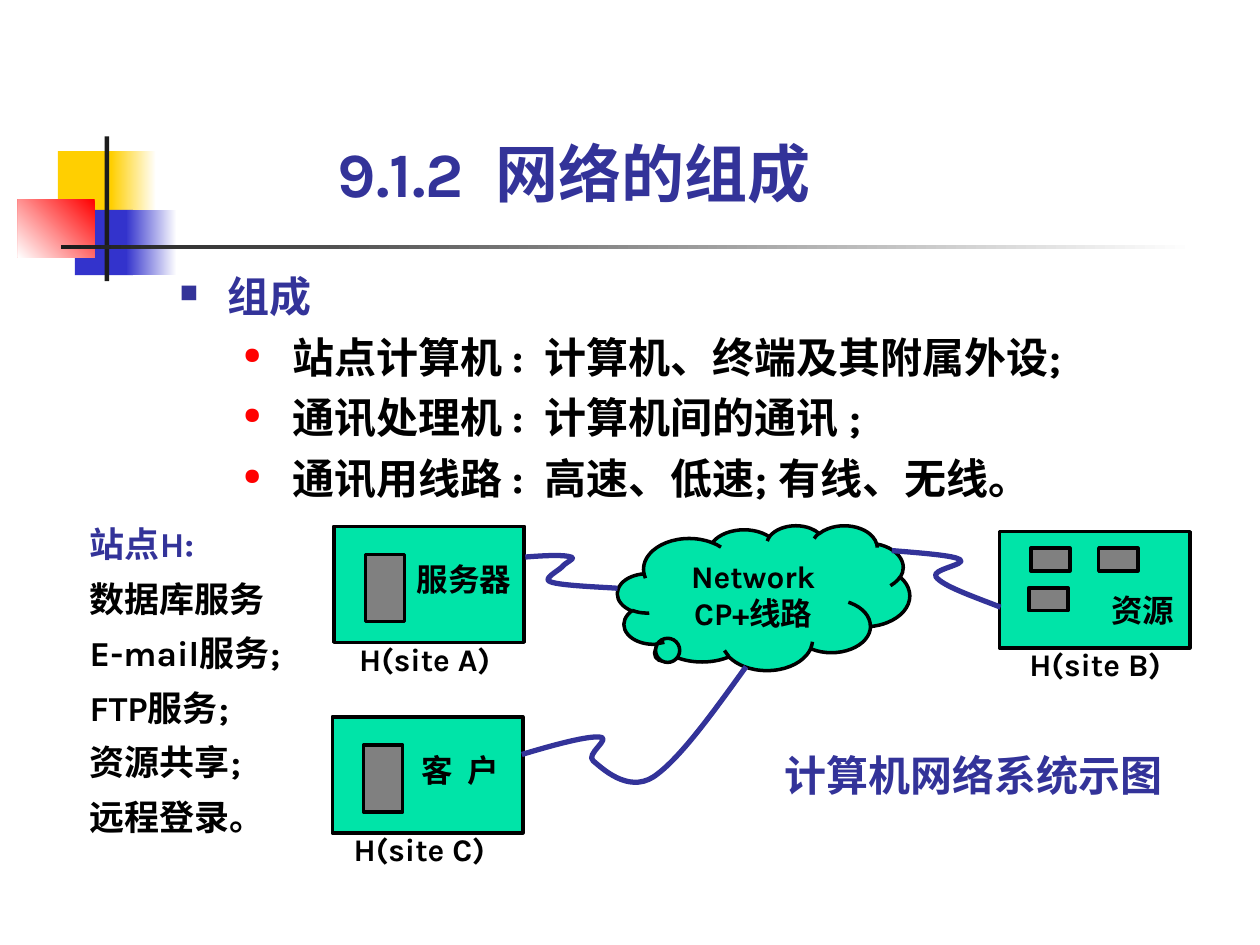
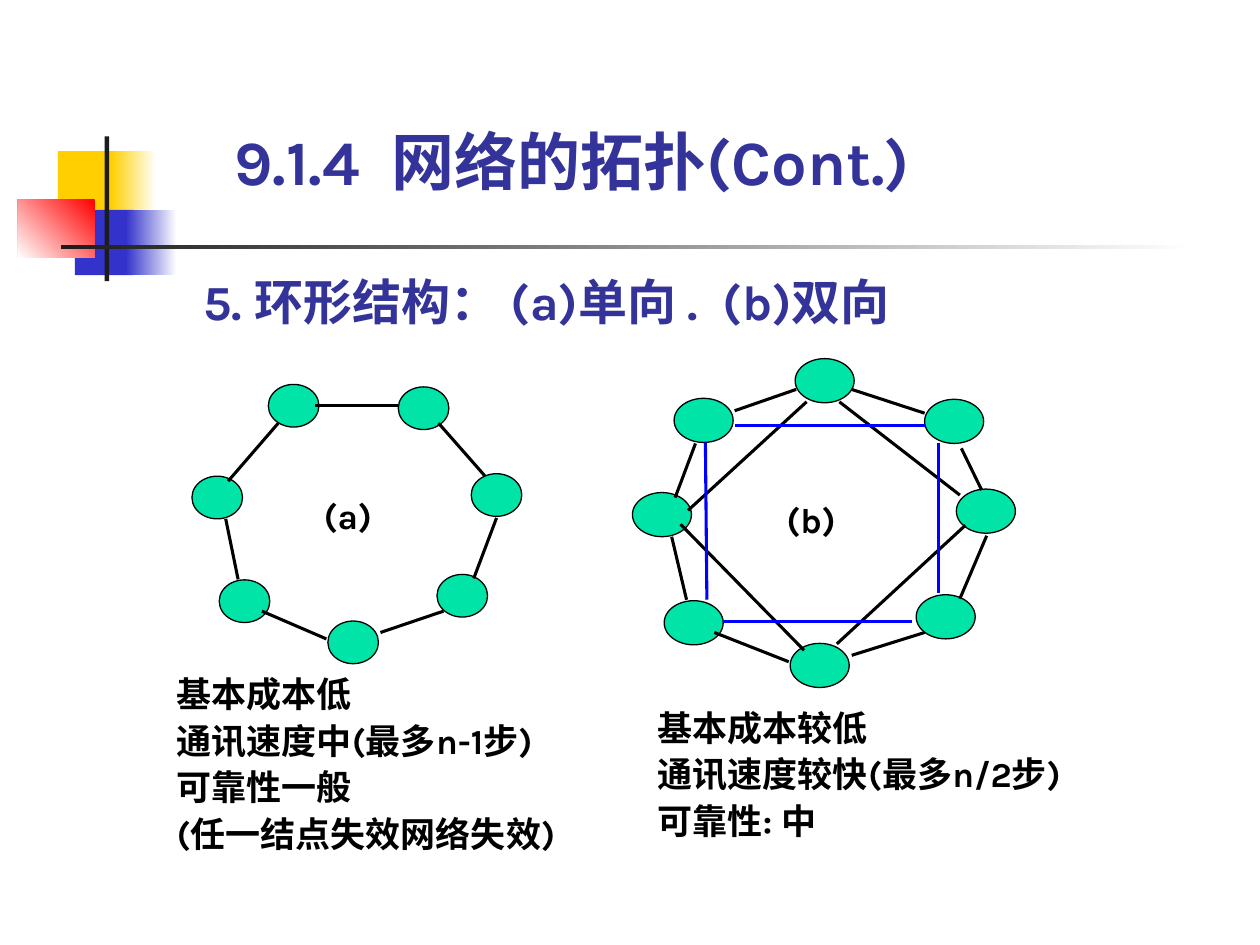
"""Build two slides on network composition and ring topologies."""
from lxml import etree
from pptx import Presentation
from pptx.dml.color import RGBColor
from pptx.enum import shapes, text
from pptx.oxml import ns
from pptx.util import Cm, Pt

FONT = "Karla"
BULLET_FONT = "OpenSymbol"
INDIGO = RGBColor(0x33, 0x33, 0x99)
BLACK = RGBColor(0, 0, 0)
WHITE = RGBColor(0xFF, 0xFF, 0xFF)
GREEN = RGBColor(0x00, 0xE4, 0xA8)
GRAY = RGBColor(0x80, 0x80, 0x80)
RED = RGBColor(0xFF, 0, 0)
BLUE = RGBColor(0, 0, 0xFF)
YELLOW = RGBColor(0xFF, 0xCF, 0x01)
ROYAL = RGBColor(0x33, 0x33, 0xCC)
CHARCOAL = RGBColor(0x1C, 0x1C, 0x1C)

RECT = shapes.MSO_SHAPE.RECTANGLE
OVAL = shapes.MSO_SHAPE.OVAL
CLOUD = shapes.MSO_SHAPE.CLOUD_CALLOUT


def style_runs(p, size, color):
    """Format every run of a paragraph."""
    for r in p.runs:
        r.font.name = FONT
        r.font.size = Pt(size)
        r.font.bold = True
        r.font.color.rgb = color


def clear_frame(tf):
    """Remove the margins of a text frame and let it wrap."""
    tf.margin_left = tf.margin_right = tf.margin_top = tf.margin_bottom = 0
    tf.word_wrap = True
    tf.auto_size = text.MSO_AUTO_SIZE.NONE


def add_text(s, box, lines, size, color=BLACK, spacing=None, before=0, hanging=0):
    """Add a text box with one paragraph per line and return its frame."""
    tf = s.shapes.add_textbox(*map(Cm, box)).text_frame
    clear_frame(tf)
    tf.text = "\n".join(lines)
    for i, p in enumerate(tf.paragraphs):
        p.line_spacing = spacing
        if i and before:
            p.space_before = Pt(before)
        if hanging:
            set_indent(p, hanging, -hanging)
        style_runs(p, size, color)
    return tf


def set_indent(p, margin, indent):
    """Set the left margin and first-line indent of a paragraph."""
    pPr = p._p.get_or_add_pPr()
    pPr.set("marL", str(Cm(margin)))
    pPr.set("indent", str(Cm(indent)))
    return pPr


def set_bullet(p, char, color, percent, margin, indent):
    """Give a paragraph a coloured bullet."""
    pPr = set_indent(p, margin, indent)
    clr = etree.SubElement(pPr, ns.qn("a:buClr"))
    etree.SubElement(clr, ns.qn("a:srgbClr"), val=str(color))
    etree.SubElement(pPr, ns.qn("a:buSzPct"), val=str(percent * 1000))
    etree.SubElement(pPr, ns.qn("a:buFont"), typeface=BULLET_FONT)
    etree.SubElement(pPr, ns.qn("a:buChar"), char=char)


def add_block(s, kind, box, fill=None, line=None):
    """Add a preset shape, outlined in black when a line width is given."""
    sp = s.shapes.add_shape(kind, *map(Cm, box))
    sp.shadow.inherit = False
    if fill is None:
        sp.fill.background()
    else:
        sp.fill.solid()
        sp.fill.fore_color.rgb = fill
    if line:
        sp.line.color.rgb = BLACK
        sp.line.width = Pt(line)
    else:
        sp.line.fill.background()
    return sp


def add_fade(s, box, start, end, angle):
    """Add a rectangle with a two-colour gradient."""
    sp = add_block(s, RECT, box, start)
    sp.fill.gradient()
    sp.fill.gradient_angle = angle
    for stop, color in zip(sp.fill.gradient_stops, (start, end)):
        stop.color.rgb = color
    return sp


def add_link(s, ends, color=BLACK):
    """Add a straight line between two points."""
    c = s.shapes.add_connector(shapes.MSO_CONNECTOR.STRAIGHT, *map(Cm, ends))
    c.line.color.rgb = color
    c.line.width = Pt(1.75)
    etree.SubElement(c.element.spPr, ns.qn("a:effectLst"))


def add_curve(s, start, points):
    """Add an open Bezier line; every three points make one segment."""
    builder = s.shapes.build_freeform(*map(Cm, start))
    builder.add_line_segments([(Cm(x), Cm(y)) for x, y in points], close=False)
    sp = builder.convert_to_shape()
    outline = next(sp.element.iter(ns.qn("a:path")))
    steps = outline.findall(ns.qn("a:lnTo"))
    for i in range(0, len(steps), 3):
        bezier = etree.SubElement(outline, ns.qn("a:cubicBezTo"))
        for step in steps[i:i + 3]:
            bezier.append(step[0])
            outline.remove(step)
    sp.shadow.inherit = False
    sp.fill.background()
    sp.line.color.rgb = INDIGO
    sp.line.width = Pt(3)


def add_site(s, left, top, name, name_dx, devices, device_size, service, service_dx, service_dy):
    """Add a site: a green box with its devices, service and name."""
    add_block(s, RECT, (left, top, 3.84, 2.34), GREEN, 2)
    for dx, dy in devices:
        add_block(s, RECT, (left + dx, top + dy, *device_size), GRAY, 2)
    add_text(s, (left + service_dx, top + service_dy, 2.01, 0.76), [service], 18)
    add_text(s, (left + name_dx, top + 2.29, 3.02, 0.76), [name], 18)


def add_ring(s, nodes, size, links):
    """Add the nodes of a ring and the links between them."""
    for node in nodes:
        add_block(s, OVAL, (*node, *size), GREEN, 0.75)
    for ends in links:
        add_link(s, ends)


def add_ring_label(s, box, label):
    """Add an unfilled oval that names a ring."""
    tf = add_block(s, OVAL, box).text_frame
    clear_frame(tf)
    tf.vertical_anchor = text.MSO_ANCHOR.TOP
    tf.text = label
    p = tf.paragraphs[0]
    p.alignment = text.PP_ALIGN.CENTER
    style_runs(p, 20, BLACK)


def set_title(s, box, title, spacing=None):
    """Place and format the title placeholder."""
    sp = s.shapes.title
    sp.left, sp.top, sp.width, sp.height = map(Cm, box)
    tf = sp.text_frame
    clear_frame(tf)
    tf.vertical_anchor = text.MSO_ANCHOR.BOTTOM
    tf.text = title
    p = tf.paragraphs[0]
    p.alignment = text.PP_ALIGN.LEFT
    p.line_spacing = spacing
    style_runs(p, 36, INDIGO)


def decorate_layout(s):
    """Move the coloured squares and rules to the layout of a slide."""
    layout = s.slide_layout
    for ph in list(layout.placeholders)[1:]:
        layout.shapes.element.remove(ph.element)
    parts = [
        add_block(s, RECT, (1.17, 3.05, 1.22, 1.32), YELLOW),
        add_fade(s, (2.24, 3.05, 0.91, 1.32), WHITE, YELLOW, 180),
        add_block(s, RECT, (1.51, 4.23, 1.17, 1.32), ROYAL),
        add_fade(s, (2.54, 4.23, 1.02, 1.32), WHITE, ROYAL, 180),
        add_fade(s, (0.36, 4.02, 1.55, 1.17), RED, WHITE, 225),
        add_block(s, RECT, (2.11, 2.75, 0.09, 2.92), CHARCOAL),
        add_fade(s, (1.23, 4.94, 22.86, 0.09), WHITE, CHARCOAL, 180),
    ]
    for sp in parts:
        layout.shapes.element.append(sp.element)


def build_composition(s):
    """Fill the slide on the parts of a network."""
    set_title(s, (6.81, 2.72, 11.18, 1.52), "9.1.2  网络的组成")
    tf = add_text(s, (3.62, 5.26, 18.67, 4.88), [
        "组成",
        "站点计算机 :  计算机、终端及其附属外设;",
        "通讯处理机 :  计算机间的通讯 ;",
        "通讯用线路 :  高速、低速; 有线、无线。",
    ], 24, spacing=1.2)
    head, *items = tf.paragraphs
    set_bullet(head, "■", INDIGO, 60, 0.97, -0.97)
    style_runs(head, 24, INDIGO)
    for p in items:
        p.level = 1
        set_bullet(p, "●", RED, 55, 2.28, -1)

    tower = (0.79, 1.35)
    add_site(s, 6.73, 10.61, "H(site A)", 0.51, [(0.64, 0.57)], tower, "服务器", 1.67, 0.67)
    add_site(s, 6.7, 14.45, "H(site C)", 0.43, [(0.63, 0.57)], tower, "客  户", 1.8, 0.69)
    add_site(s, 20.15, 10.72, "H(site B)", 0.6, [(0.63, 0.33), (2, 0.33), (0.59, 1.13)],
             (0.79, 0.46), "资源", 2.25, 1.19)

    cloud = add_block(s, CLOUD, (12.45, 10.59, 5.89, 2.92), GREEN, 2)
    cloud.adjustments[0], cloud.adjustments[1] = -0.339, 0.375
    tf = cloud.text_frame
    tf.text = "Network\nCP+线路"
    tf.vertical_anchor = text.MSO_ANCHOR.MIDDLE
    for p in tf.paragraphs:
        p.alignment = text.PP_ALIGN.CENTER
        style_runs(p, 18, BLACK)

    add_curve(s, (10.59, 11.23), [
        (10.97, 11.2), (11.38, 11.18), (11.51, 11.23),
        (11.63, 11.25), (11.38, 11.35), (11.33, 11.43),
        (11.25, 11.51), (10.92, 11.68), (11.1, 11.73),
        (11.3, 11.81), (12.22, 11.84), (12.45, 11.86),
    ])
    add_curve(s, (17.98, 11.1), [
        (18.59, 11.15), (19.23, 11.2), (19.35, 11.28),
        (19.51, 11.38), (18.75, 11.48), (18.87, 11.63),
        (19, 11.81), (19.58, 12.01), (20.17, 12.24),
    ])
    add_curve(s, (10.52, 15.21), [
        (11.18, 15.01), (11.86, 14.83), (12.09, 14.86),
        (12.34, 14.88), (11.79, 15.21), (11.96, 15.34),
        (12.14, 15.49), (12.65, 15.98), (13.16, 15.67),
        (13.67, 15.34), (14.35, 14.4), (15.04, 13.44),
    ])

    add_text(s, (15.82, 15.11, 8.2, 1.02), ["计算机网络系统示图"], 24, INDIGO)
    tf = add_text(s, (1.81, 10.28, 4.29, 6.6), [
        "站点H:", "数据库服务", "E-mail服务;", "FTP服务;", "资源共享;", "远程登录。",
    ], 20, spacing=1.3)
    style_runs(tf.paragraphs[0], 20, INDIGO)


def build_rings(s):
    """Fill the slide on one-way and two-way rings."""
    set_title(s, (4.72, 2.41, 16.08, 1.6), "9.1.4  网络的拓扑(Cont.)", 0.9)
    add_text(s, (4.1, 5.47, 15.65, 1.19), ["5. 环形结构： (a)单向 .  (b)双向"], 28, INDIGO)

    one_way_nodes = [(3.87, 9.6), (4.42, 11.69), (8.81, 11.58), (8.03, 7.8),
                     (5.41, 7.75), (9.5, 9.55), (6.61, 12.52)]
    one_way_links = [
        (8.03, 8.18, 6.35, 8.18), (8.94, 12.32, 7.67, 12.75), (9.78, 9.6, 8.84, 8.53),
        (5.61, 8.53, 4.6, 9.7), (4.8, 11.68, 4.55, 10.46), (10.01, 10.44, 9.55, 11.66),
        (6.58, 12.88, 5.28, 12.32),
    ]
    add_ring(s, one_way_nodes, (1.02, 0.86), one_way_links)

    two_way_nodes = [(12.75, 9.93), (13.39, 12.11), (18.47, 11.99), (18.64, 8.05),
                     (13.59, 8.03), (19.28, 9.86), (15.93, 12.97), (16.03, 7.23)]
    two_way_links = [
        (18.64, 8.33, 17.17, 7.85), (18.64, 12.75, 17.17, 13.21), (19.79, 9.88, 19.38, 9.04),
        (14.02, 8.94, 13.61, 10.03), (13.84, 12.09, 13.54, 10.82), (19.89, 10.8, 19.35, 12.07),
        (15.9, 13.34, 14.4, 12.75), (14.81, 8.28, 16.05, 7.85),
    ]
    black_chords = [(16.21, 13.11, 13.72, 10.57), (19.46, 10.59, 16.87, 12.98),
                    (16.26, 8.1, 13.87, 10.29), (16.92, 8.1, 19.35, 9.98)]
    blue_chords = [(18.39, 12.52, 14.58, 12.52), (18.92, 8.94, 18.92, 11.96),
                   (14.22, 8.92, 14.25, 12.09), (18.64, 8.58, 14.81, 8.58)]
    add_ring(s, two_way_nodes, (1.19, 0.89), two_way_links + black_chords)
    for ends in blue_chords:
        add_link(s, ends, BLUE)

    add_ring_label(s, (6.2, 9.8, 1.63, 1.19), "(a)")
    add_ring_label(s, (15.57, 9.7, 1.57, 2.39), "(b)")
    remarks = [
        ((3.56, 13.66, 8.15, 3.58),
         ["基本成本低", "通讯速度中(最多n-1步)", "可靠性一般", "(任一结点失效网络失效)"]),
        ((13.26, 14.33, 8.79, 3.4),
         ["基本成本较低", "通讯速度较快(最多n/2步)", "可靠性: 中"]),
    ]
    for box, lines in remarks:
        add_text(s, box, lines, 20, spacing=0.9, before=5, hanging=0.97)


def main():
    """Create and save the presentation."""
    prs = Presentation()
    prs.slide_width, prs.slide_height = Cm(25.4), Cm(19.05)
    layout = prs.slide_layouts[5]
    for i, build in enumerate((build_composition, build_rings)):
        s = prs.slides.add_slide(layout)
        if i == 0:
            decorate_layout(s)
        build(s)
    prs.save("out.pptx")


if __name__ == "__main__":
    main()
